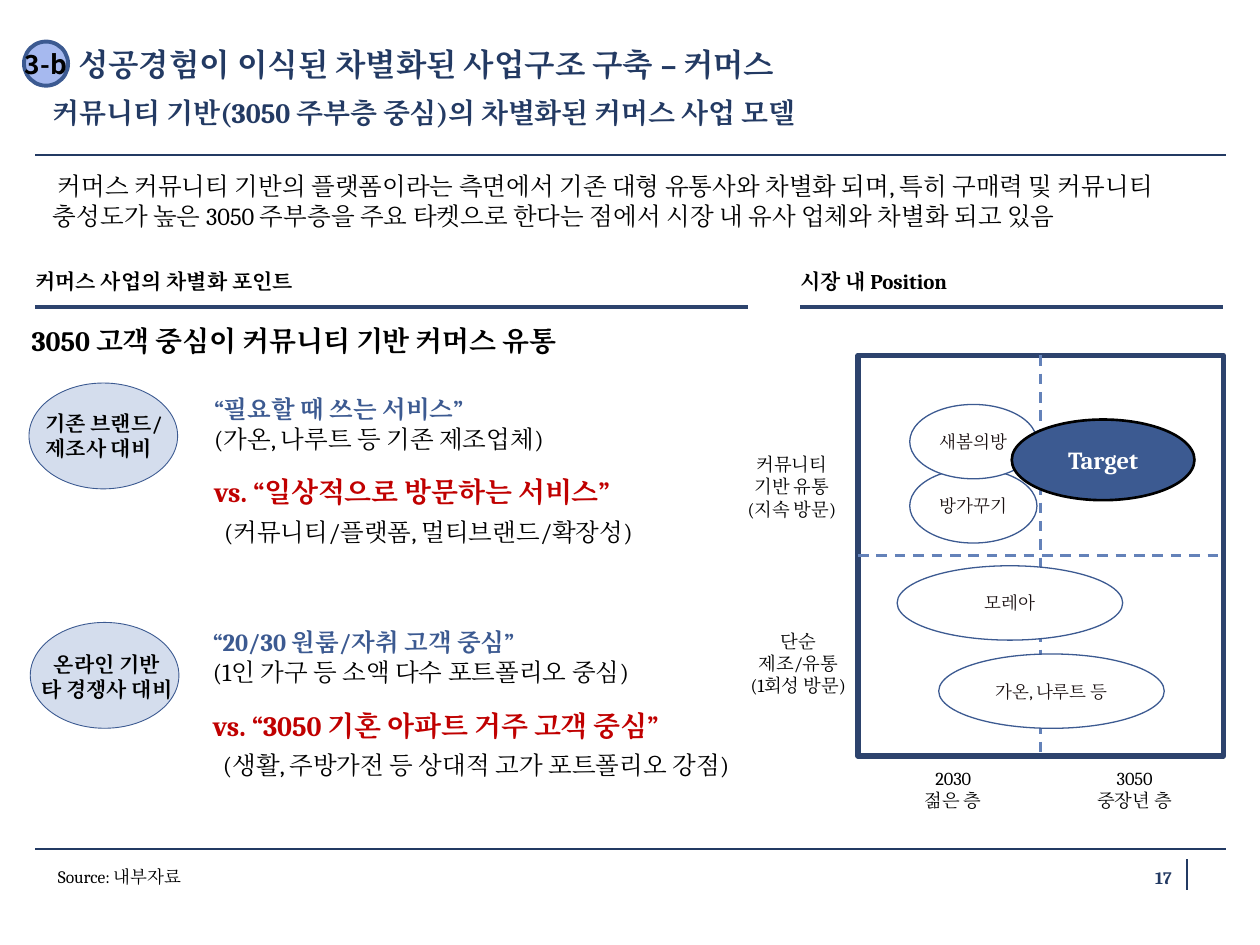
import pptx
import pptx.dml.color
import pptx.enum.dml
import pptx.enum.shapes
import pptx.enum.text
import pptx.oxml
import pptx.oxml.ns
import pptx.util
from dataclasses import dataclass

Inches = pptx.util.Inches
ALIGN = pptx.enum.text.PP_ALIGN
ANCHOR = pptx.enum.text.MSO_ANCHOR
SHAPE = pptx.enum.shapes.MSO_SHAPE


@dataclass(frozen=True)
class Theme:
    font: str = "Cambria"
    badge_font: str = "Noto Sans CJK KR"
    navy: str = "233A63"
    frame: str = "2D436D"
    blue: str = "3C5A91"
    dash: str = "6482B9"
    pale: str = "D4DDED"
    badge: str = "A6B9EF"
    red: str = "C00000"
    ink: str = "1B1112"
    black: str = "000000"
    white: str = "FFFFFF"
    title: float = 18
    headline: float = 16
    badge_size: float = 15
    body: float = 14
    label: float = 12
    axis: float = 10.5
    small: float = 10


THEME = Theme()


def rgb(value):
    return pptx.dml.color.RGBColor.from_string(value)


def write(para, text, size=THEME.body, color=THEME.black, bold=False, font=THEME.font):
    """Append text to a paragraph; a newline becomes a line break."""
    for number, line in enumerate(text.split("\n")):
        if number:
            para.add_line_break()
        if not line:
            continue
        span = para.add_run()
        span.text = line
        span.font.size = pptx.util.Pt(size)
        span.font.bold = bold
        span.font.color.rgb = rgb(color)
        span.font.name = font
        east_asian = pptx.oxml.parse_xml(
            f'<a:ea {pptx.oxml.ns.nsdecls("a")} typeface="{font}"/>')
        span.font._element.find(pptx.oxml.ns.qn("a:latin")).addnext(east_asian)


class SlideBuilder:
    def __init__(self, theme):
        self.theme = theme
        self.deck = pptx.Presentation()
        self.deck.slide_width, self.deck.slide_height = Inches(10), Inches(7.5)
        self.page = self.deck.slides.add_slide(self.deck.slide_layouts[1])

    def fill_frame(self, box, text, align=ALIGN.LEFT, anchor=ANCHOR.TOP,
                   wrap=True, first_indent=0, **style):
        frame = box.text_frame
        frame.margin_left = frame.margin_right = 0
        frame.margin_top = frame.margin_bottom = 0
        frame.auto_size = pptx.enum.text.MSO_AUTO_SIZE.NONE
        frame.word_wrap = wrap
        frame.vertical_anchor = anchor
        para = frame.paragraphs[0]
        properties = para._p.get_or_add_pPr()
        properties.set("marL", "0")
        properties.set("indent", str(Inches(first_indent)))
        properties.append(pptx.oxml.parse_xml(
            f'<a:buNone {pptx.oxml.ns.nsdecls("a")}/>'))
        para.alignment = align
        para.space_before = pptx.util.Pt(0)
        write(para, text, **style)
        return para

    def placeholder(self, index, left, top, width, height, text, **style):
        box = self.page.placeholders[index]
        box.left, box.top = Inches(left), Inches(top)
        box.width, box.height = Inches(width), Inches(height)
        self.fill_frame(box, text, **style)

    def text(self, left, top, width, height, text, **style):
        box = self.page.shapes.add_textbox(
            Inches(left), Inches(top), Inches(width), Inches(height))
        return self.fill_frame(box, text, **style)

    def shape(self, kind, left, top, width, height, line, weight, fill=None,
              text=None, **style):
        box = self.page.shapes.add_shape(
            kind, Inches(left), Inches(top), Inches(width), Inches(height))
        box.shadow.inherit = False
        if fill:
            box.fill.solid()
            box.fill.fore_color.rgb = rgb(fill)
        else:
            box.fill.background()
        box.line.color.rgb = rgb(line)
        box.line.width = pptx.util.Pt(weight)
        if text:
            self.fill_frame(box, text, align=ALIGN.CENTER, anchor=ANCHOR.MIDDLE,
                            wrap=False, **style)

    def line(self, x1, y1, x2, y2, color, weight, dashed=False):
        line = self.page.shapes.add_connector(
            pptx.enum.shapes.MSO_CONNECTOR.STRAIGHT,
            Inches(x1), Inches(y1), Inches(x2), Inches(y2))
        line.line.color.rgb = rgb(color)
        line.line.width = pptx.util.Pt(weight)
        if dashed:
            line.line.dash_style = pptx.enum.dml.MSO_LINE.DASH
        line._element.spPr.append(pptx.oxml.parse_xml(
            f'<a:effectLst {pptx.oxml.ns.nsdecls("a")}/>'))

    def section(self, left, right, text):
        self.line(left, 2.44, right, 2.44, self.theme.frame, 2.25)
        self.text(left, 2.02, right - left, 0.43, text, anchor=ANCHOR.MIDDLE,
                  size=self.theme.label, bold=True)

    def comparison(self, left, top, rival, rival_note, own, own_note):
        theme = self.theme
        para = self.text(left, top, 4.19, 0.6, rival + "\n",
                         color=theme.blue, bold=True)
        write(para, rival_note)
        self.text(left, top + 0.64, 4.19, 0.26, own,
                  size=theme.headline, color=theme.red, bold=True)
        self.text(left + 0.08, top + 0.97, 4.9, 0.25, own_note)


def main():
    theme = THEME
    slide = SlideBuilder(theme)

    # Rules, page number and source
    for y in (1.23, 6.74):
        slide.line(0.28, y, 9.73, y, theme.navy, 1)
    slide.line(9.42, 6.82, 9.42, 7.06, theme.navy, 1)
    slide.text(8.62, 6.82, 0.68, 0.29, "17", align=ALIGN.RIGHT,
               anchor=ANCHOR.MIDDLE, size=theme.small, color=theme.navy, bold=True)
    slide.text(0.46, 6.87, 6.65, 0.29, "Source: 내부자료", size=theme.small)

    # Title, subtitle and summary
    slide.placeholder(0, 0.62, 0.36, 6.92, 0.36,
                      "성공경험이 이식된 차별화된 사업구조 구축 – 커머스",
                      size=theme.title, color=theme.navy, bold=True)
    slide.placeholder(1, 0.42, 0.76, 7.12, 0.43,
                      "커뮤니티 기반(3050 주부층 중심)의 차별화된 커머스 사업 모델",
                      size=theme.headline, color=theme.navy, bold=True)
    slide.shape(SHAPE.OVAL, 0.19, 0.33, 0.35, 0.35, theme.blue, 2.25, theme.badge,
                "3-b", size=theme.badge_size, bold=True, font=theme.badge_font)
    slide.text(0.42, 1.36, 9.15, 0.68,
               "커머스 커뮤니티 기반의 플랫폼이라는 측면에서 기존 대형 유통사와 차별화 되며, "
               "특히 구매력 및 커뮤니티 충성도가 높은 3050 주부층을 주요 타켓으로 한다는 점에서 "
               "시장 내 유사 업체와 차별화 되고 있음", first_indent=0.04)

    # Left: points of difference
    slide.section(0.28, 5.94, "커머스 사업의 차별화 포인트")
    slide.text(0.25, 2.57, 6.01, 0.37, "3050 고객 중심이 커뮤니티 기반 커머스 유통",
               size=theme.headline, bold=True)
    slide.comparison(1.7, 3.13, "“필요할 때 쓰는 서비스”",
                     "(가온, 나루트 등 기존 제조업체)",
                     "vs. “일상적으로 방문하는 서비스”",
                     "(커뮤니티/플랫폼, 멀티브랜드/확장성)")
    slide.comparison(1.69, 4.98, "“20/30 원룸/자취 고객 중심”",
                     "(1인 가구 등 소액 다수 포트폴리오 중심)",
                     "vs. “3050 기혼 아파트 거주 고객 중심”",
                     "(생활, 주방가전 등 상대적 고가 포트폴리오 강점)")
    for left, top in ((0.23, 3.04), (0.24, 4.94)):
        slide.shape(SHAPE.OVAL, left, top, 1.18, 0.84, theme.blue, 0.5, theme.pale)
    slide.text(0.36, 3.26, 1.02, 0.45, "기존 브랜드/\n제조사 대비",
               size=theme.label, bold=True)
    slide.text(0.28, 5.17, 1.14, 0.4, "온라인 기반\n타 경쟁사 대비",
               align=ALIGN.CENTER, size=theme.label, bold=True)

    # Right: position map with its axis labels
    slide.section(6.35, 9.71, "시장 내 Position")
    left, top, width, height = 6.81, 2.82, 2.9, 3.18
    middle_x, middle_y = left + width / 2, top + height / 2
    slide.shape(SHAPE.RECTANGLE, left, top, width, height, theme.frame, 3)
    slide.line(left, middle_y, left + width, middle_y, theme.dash, 1.5, dashed=True)
    slide.line(middle_x, top, middle_x, top + height, theme.dash, 1.5, dashed=True)
    for x, y, label in ((5.84, 3.6, "커뮤니티\n기반 유통\n(지속 방문)"),
                        (5.89, 5, "단순\n제조/유통\n(1회성 방문)"),
                        (7.12, 6.09, "2030\n젊은 층"),
                        (8.56, 6.09, "3050\n중장년 층")):
        slide.text(x, y, 0.89, 0.39, label, align=ALIGN.CENTER, wrap=False,
                   size=theme.axis)

    # Players on the map
    for x, y, oval_width, name in ((7.22, 3.72, 1.01, "방가꾸기"),
                                   (7.22, 3.21, 1.01, "새봄의방"),
                                   (7.12, 4.49, 1.79, "모레아"),
                                   (7.45, 5.19, 1.79, "가온, 나루트 등")):
        slide.shape(SHAPE.OVAL, x, y, oval_width, 0.59, theme.blue, 0.75,
                    theme.white, name, size=theme.small, color=theme.ink)
    slide.shape(SHAPE.OVAL, 8.03, 3.33, 1.45, 0.64, theme.black, 1.5, theme.blue,
                "Target", color=theme.white, bold=True)

    slide.deck.save("out.pptx")


if __name__ == "__main__":
    main()
